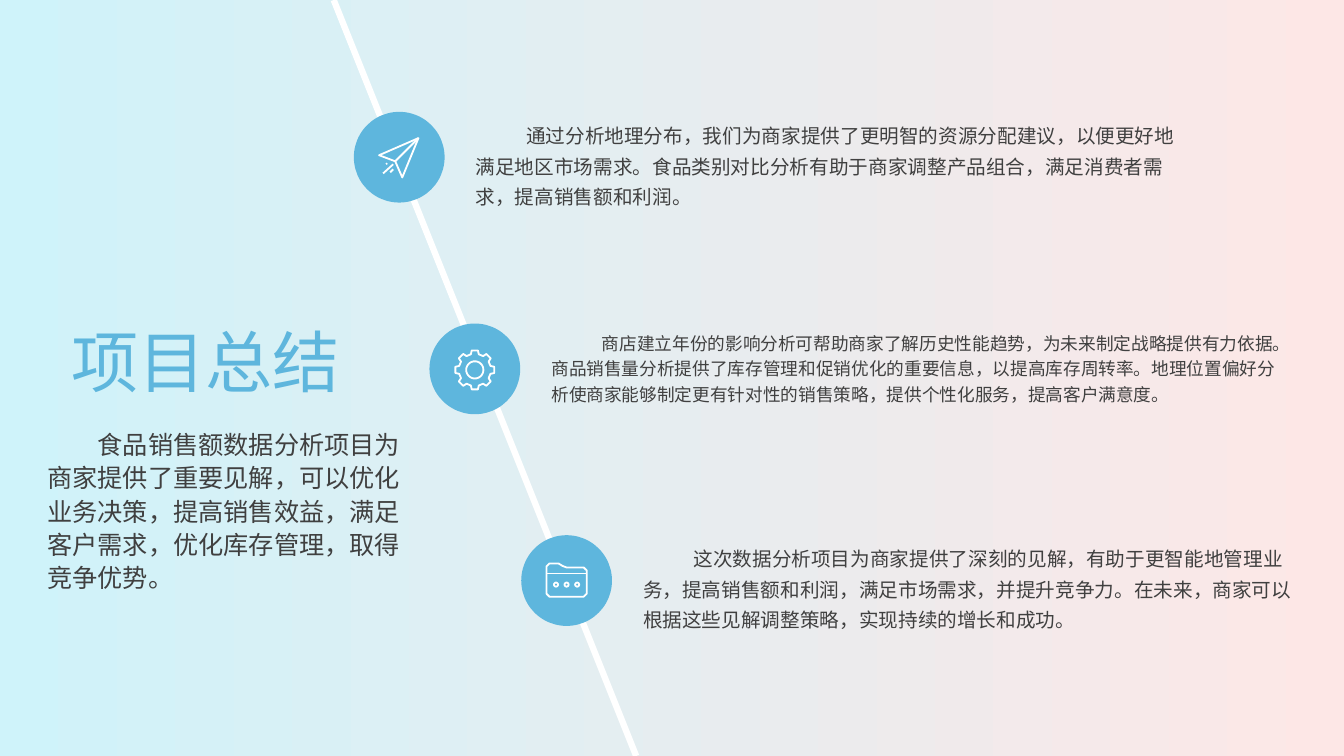
from math import cos, sin, radians
from lxml import etree
from pptx import Presentation
from pptx.dml.color import RGBColor
from pptx.enum.shapes import MSO_CONNECTOR, MSO_SHAPE
from pptx.enum.text import MSO_ANCHOR
from pptx.oxml.ns import qn
from pptx.util import Inches, Pt

BLUE, GREY, WHITE = "5EB6DD", "404040", "FFFFFF"
W, H = 13.33, 7.5
DISC = 0.9


def paint(color, value):
    """Set a colour format from a hex string."""
    color.rgb = RGBColor.from_string(value)


def add_text(s, box, text, size, color, spacing=None, indent=0):
    tf = s.shapes.add_textbox(*map(Inches, box)).text_frame
    tf.word_wrap = True
    p = tf.paragraphs[0]
    p.text = text
    if indent:
        p._p.get_or_add_pPr().set("indent", str(Inches(indent)))
    if spacing:
        p.line_spacing = spacing
    p.font.name, p.font.size = "Arial", Pt(size)
    paint(p.font.color, color)
    return tf


prs = Presentation()
prs.slide_width, prs.slide_height = Inches(W), Inches(H)
s = prs.slides.add_slide(prs.slide_layouts[6])

fill = s.background.fill
fill.gradient()
fill.gradient_angle = 0
for stop, value in zip(fill.gradient_stops, ("CFF3FA", "FDE7E6")):
    paint(stop.color, value)

diagonal = s.shapes.add_connector(
    MSO_CONNECTOR.STRAIGHT, Inches(3.31), 0, Inches(6.31), Inches(H))
diagonal.line.width = Pt(4.5)
paint(diagonal.line.color, WHITE)
etree.SubElement(diagonal._element.spPr, qn("a:effectLst"))

add_text(s, (0.37, 4.18, 3.79, 1.91),
         "食品销售额数据分析项目为商家提供了重要见解，可以优化业务决策，提高销售效益，"
         "满足客户需求，优化库存管理，取得竞争优势。", 18, GREY, 1.1, 0.5)
title = add_text(s, (0.61, 3.01, 3.14, 1.02), "项目总结", 48, BLUE)
title.vertical_anchor = MSO_ANCHOR.BOTTOM

# Icon strokes: (points, closed), in hundredths of an inch from the disc centre
plane = [
    ([(-20, -2), (19, -19), (3, 20), (-4, 4)], True),
    ([(-4, 4), (19, -19)], False),
    ([(-16, 16), (-6, 7)], False),
    ([(-9, 15), (-6, 12)], False),
    ([(-13, 7), (-12, 6)], False),
]
teeth = [(r * cos(radians(a + da)), r * sin(radians(a + da)) + 1)
         for a in range(0, 360, 45)
         for r, da in ((16, -14), (19.5, -9), (19.5, 9), (16, 14))]
hub = [(8.5 * cos(radians(a)), 8.5 * sin(radians(a)) + 1)
       for a in range(0, 360, 10)]
gear = [(teeth, True), (hub, True)]
folder = [
    ([(-20, -14), (-17, -17), (-8, -17), (-4, -14.5), (0, -13), (17, -13),
      (20, -10), (20, 13), (17, 16), (-17, 16), (-20, 13)], True),
    ([(-20, -7), (20, -7)], False),
]
for x in (-10.5, 0, 10.5):
    dot = [(x + 2 * cos(radians(a)), 4 + 2 * sin(radians(a)))
           for a in range(0, 360, 20)]
    folder.append((dot, True))

# disc left, disc top, icon, text box width and height, size, spacing, text
findings = [
    (3.51, 1.11, plane, 7.2, 1.08, 14, 1.3,
     "通过分析地理分布，我们为商家提供了更明智的资源分配建议，以便更好地满足地区市场需求。"
     "食品类别对比分析有助于商家调整产品组合，满足消费者需求，提高销售额和利润。"),
    (4.26, 3.21, gear, 7.38, 0.9, 12.6, 1.2,
     "商店建立年份的影响分析可帮助商家了解历史性能趋势，为未来制定战略提供有力依据。"
     "商品销售量分析提供了库存管理和促销优化的重要信息，以提高库存周转率。"
     "地理位置偏好分析使商家能够制定更有针对性的销售策略，提供个性化服务，提高客户满意度。"),
    (5.17, 5.31, folder, 6.72, 1.02, 14, 1.3,
     "这次数据分析项目为商家提供了深刻的见解，有助于更智能地管理业务，提高销售额和利润，"
     "满足市场需求，并提升竞争力。在未来，商家可以根据这些见解调整策略，实现持续的增长和成功。"),
]
for x, y, icon, width, height, size, spacing, text in findings:
    disc = s.shapes.add_shape(MSO_SHAPE.OVAL, *map(Inches, (x, y, DISC, DISC)))
    disc.shadow.inherit = False
    disc.fill.solid()
    paint(disc.fill.fore_color, BLUE)
    disc.line.fill.background()
    add_text(s, (x + DISC + 0.21, y, width, height), text, size, GREY, spacing, 0.5)

    # The builder keeps whole units only, so draw in thousandths of an inch
    strokes = [([(px * 10, py * 10) for px, py in pts], closed)
               for pts, closed in icon]
    pen = s.shapes.build_freeform(*strokes[0][0][0], scale=Inches(1) / 1000)
    for i, (pts, closed) in enumerate(strokes):
        if i:
            pen.move_to(*pts[0])
        pen.add_line_segments(pts[1:], close=closed)
    outline = pen.convert_to_shape(Inches(x + DISC / 2), Inches(y + DISC / 2))
    outline.shadow.inherit = False
    outline.fill.background()
    outline.line.width = Pt(1.3)
    paint(outline.line.color, WHITE)
    etree.SubElement(outline.line._get_or_add_ln(), qn("a:round"))

prs.save("out.pptx")
